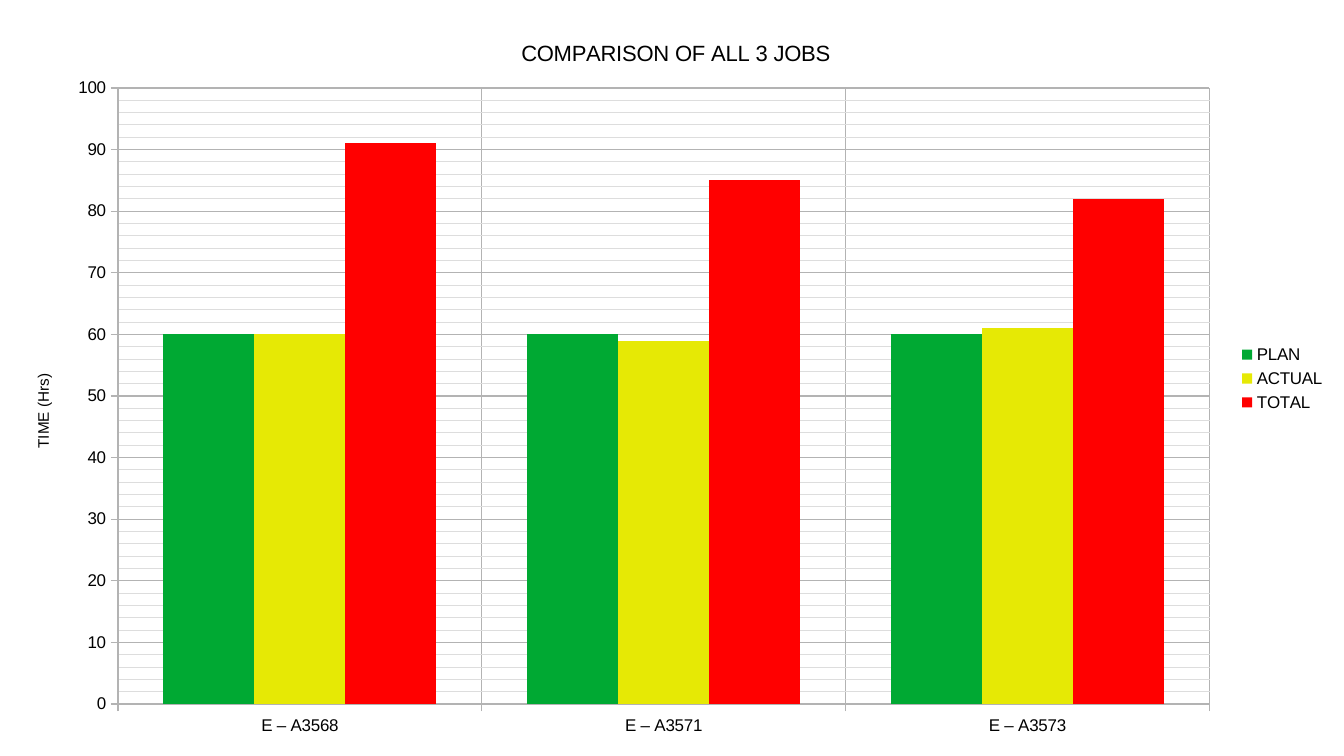
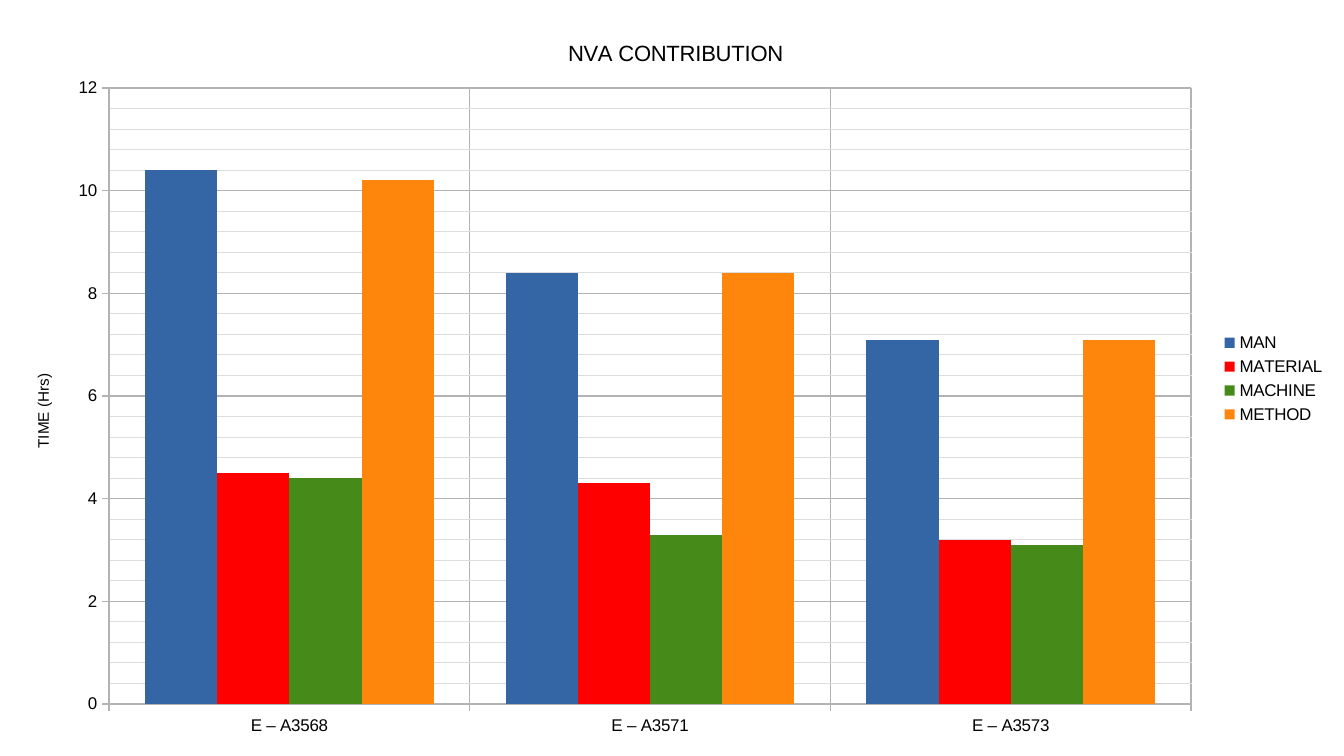
import pptx
import pptx.chart.data
import pptx.dml.color
import pptx.enum.chart
import pptx.oxml
import pptx.oxml.ns
import pptx.util

Pt = pptx.util.Pt
qn = pptx.oxml.ns.qn

COLORS = {
    "text": "000000", "grid": "B3B3B3", "minor_grid": "DDDDDD",
    "green": "00A933", "yellow": "E6E905", "red": "FF0000",
    "blue": "3465A4", "leaf": "468A1A", "orange": "FF860D",
}
FONT = "Arial"
SLIDE_SIZE = (793.44, 446.4)
CHART_BOX = (2.16, 3.6, 787.68, 439.92)
JOBS = ["E – A3568", "E – A3571", "E – A3573"]

COMPARISON = {
    "title": "COMPARISON OF ALL 3 JOBS",
    "title_left": 0.385,
    "plot": (0.0857, 0.11, 0.818, 0.827),
    "scale": (100, 10),
    "series": [
        ("PLAN", (60, 60, 60), "green"),
        ("ACTUAL", (60, 59, 61), "yellow"),
        ("TOTAL", (91, 85, 82), "red"),
    ],
}
CONTRIBUTION = {
    "title": "NVA CONTRIBUTION",
    "title_left": 0.42,
    "plot": (0.079, 0.11, 0.811, 0.827),
    "scale": (12, 2),
    "series": [
        ("MAN", (10.4, 8.4, 7.1), "blue"),
        ("MATERIAL", (4.5, 4.3, 3.2), "red"),
        ("MACHINE", (4.4, 3.3, 3.1), "leaf"),
        ("METHOD", (10.2, 8.4, 7.1), "orange"),
    ],
}


def rgb(name):
    return pptx.dml.color.RGBColor.from_string(COLORS[name])


def format_font(font, size, color="text"):
    font.name = FONT
    font.size = Pt(size)
    font.bold = False
    font.color.rgb = rgb(color)


def write_text(frame, text, size=10, color="text", rotation=None):
    frame.text = text
    format_font(frame.paragraphs[0].runs[0].font, size, color)
    if rotation is not None:
        body = frame._txBody.find(qn("a:bodyPr"))
        body.set("rot", str(rotation * 60000))
        body.set("vert", "horz")


def place(element, index, left, top, width=None, height=None, inner=False):
    layout = element.find(qn("c:layout"))
    if layout is not None:
        element.remove(layout)
    layout = pptx.oxml.parse_xml(
        f'<c:layout {pptx.oxml.ns.nsdecls("c")}><c:manualLayout/></c:layout>')
    entries = [("layoutTarget", "inner" if inner else None),
               ("xMode", "edge"), ("yMode", "edge"),
               ("x", left), ("y", top), ("w", width), ("h", height)]
    for tag, value in entries:
        if value is not None:
            entry = layout[0].makeelement(qn(f"c:{tag}"), {"val": str(value)})
            layout[0].append(entry)
    element.insert(index, layout)


def format_line(line):
    line.color.rgb = rgb("grid")
    line.width = Pt(0)


def format_axis(axis):
    format_font(axis.tick_labels.font, 10)
    axis.major_tick_mark = pptx.enum.chart.XL_TICK_MARK.OUTSIDE
    axis.minor_tick_mark = pptx.enum.chart.XL_TICK_MARK.NONE
    axis.has_major_gridlines = True
    format_line(axis.format.line)
    format_line(axis.major_gridlines.format.line)


def format_time_axis(axis, maximum, step):
    axis.minimum_scale = 0
    axis.maximum_scale = maximum
    axis.major_unit = step
    axis.minor_unit = step / 5
    axis.has_minor_gridlines = True
    axis._element.find(qn("c:minorGridlines")).append(pptx.oxml.parse_xml(
        f'<c:spPr {pptx.oxml.ns.nsdecls("c", "a")}><a:ln w="0"><a:solidFill>'
        f'<a:srgbClr val="{COLORS["minor_grid"]}"/></a:solidFill></a:ln></c:spPr>'))
    write_text(axis.axis_title.text_frame, "TIME (Hrs)", size=9, rotation=-90)
    place(axis.axis_title._element, 1, 0.02, 0.49)


def add_job_chart(slide, box, content):
    data = pptx.chart.data.CategoryChartData()
    data.categories = JOBS
    for name, values, _ in content["series"]:
        data.add_series(name, values)
    chart = slide.shapes.add_chart(
        pptx.enum.chart.XL_CHART_TYPE.COLUMN_CLUSTERED, *map(Pt, box), data).chart
    format_font(chart.font, 10)

    write_text(chart.chart_title.text_frame, content["title"], size=13)
    place(chart.chart_title._element, 1, content["title_left"], 0.04)
    place(chart._chartSpace.chart.plotArea, 0, *content["plot"], inner=True)

    chart.has_legend = True
    chart.legend.position = pptx.enum.chart.XL_LEGEND_POSITION.RIGHT
    chart.legend.include_in_layout = False
    format_font(chart.legend.font, 10)

    for axis in (chart.category_axis, chart.value_axis):
        format_axis(axis)
    format_time_axis(chart.value_axis, *content["scale"])

    plot = chart.plots[0]
    plot.gap_width = 100
    plot.overlap = 0
    plot.vary_by_categories = False
    for series, (_, _, color) in zip(plot.series, content["series"]):
        series.format.fill.solid()
        series.format.fill.fore_color.rgb = rgb(color)
        series.format.line.fill.background()


def main():
    deck = pptx.Presentation()
    deck.slide_width, deck.slide_height = map(Pt, SLIDE_SIZE)
    for content in (COMPARISON, CONTRIBUTION):
        slide = deck.slides.add_slide(deck.slide_layouts[6])
        add_job_chart(slide, CHART_BOX, content)
    deck.save("out.pptx")


if __name__ == "__main__":
    main()
